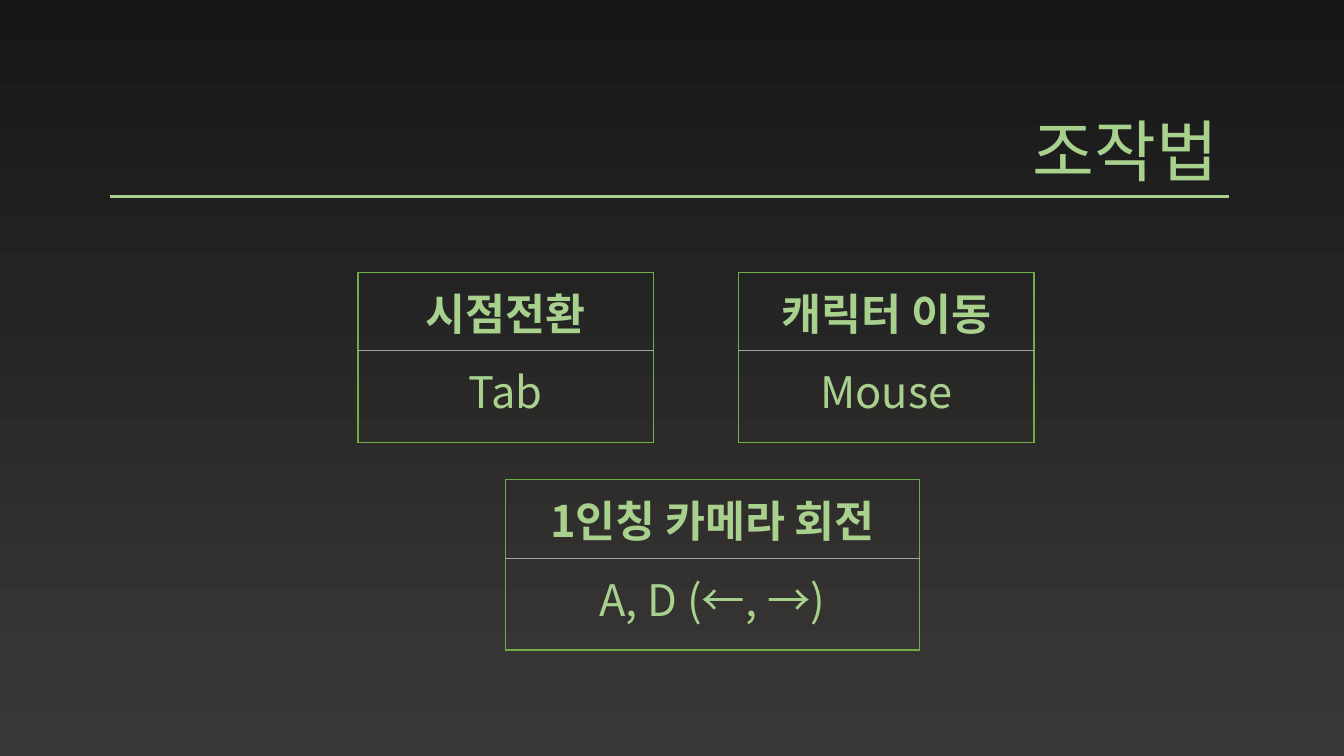
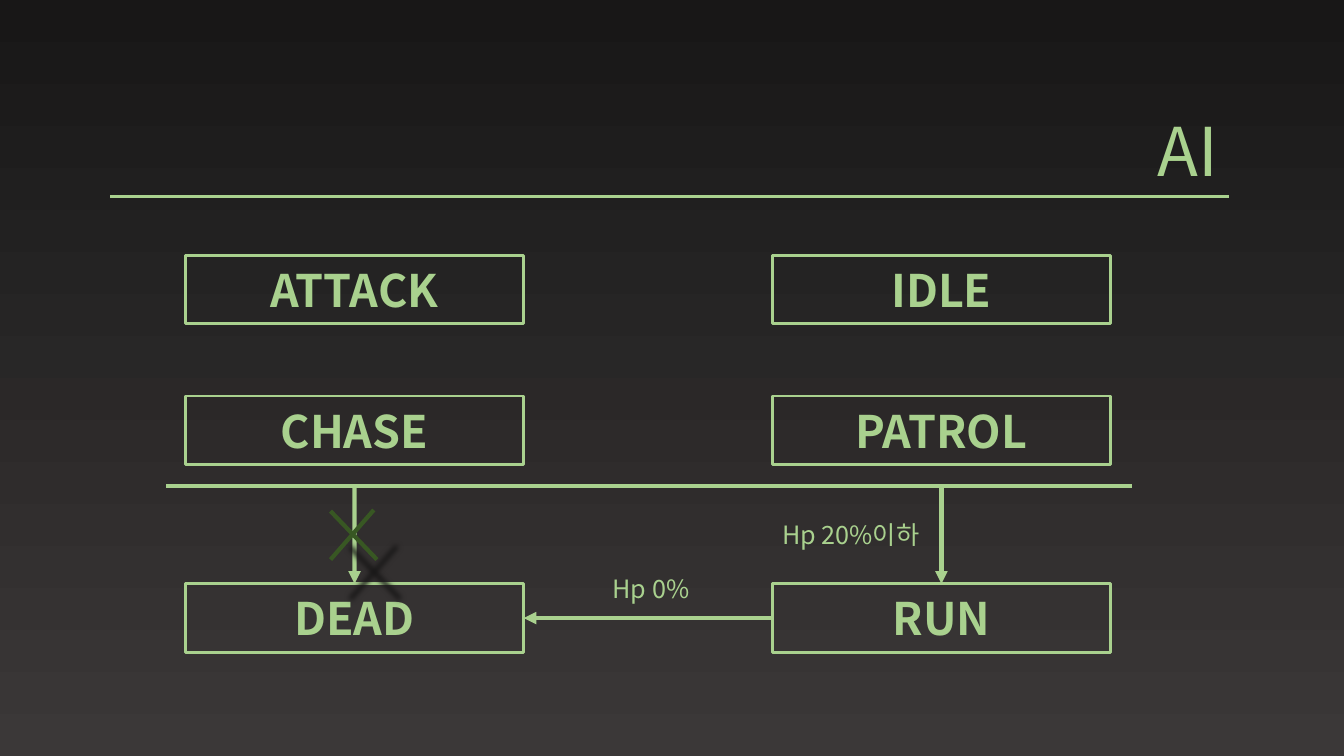
from lxml.etree import SubElement as Sub
from pptx import Presentation
from pptx.dml.color import RGBColor
from pptx.enum.shapes import MSO_CONNECTOR as Link, MSO_SHAPE as Kind
from pptx.enum.text import MSO_ANCHOR as Anchor, PP_ALIGN as Align
from pptx.oxml.ns import qn
from pptx.util import Cm, Pt

FACE = "Noto Sans CJK KR"
LIME = RGBColor(0xA9, 0xD1, 0x8E)
GREEN = RGBColor(0x70, 0xAD, 0x47)
MOSS = RGBColor(0x38, 0x57, 0x23)
GREY = RGBColor(0xA5, 0xA5, 0xA5)
BLACK = RGBColor(0x18, 0x17, 0x17)
STONE = RGBColor(0x3B, 0x38, 0x38)


def write(frame, text, size, bold=False, align=Align.LEFT):
    para = frame.paragraphs[0]
    para.alignment = align
    run = para.add_run()
    run.text = text
    form = {"name": FACE, "size": Pt(size), "bold": bold}
    for key, val in form.items():
        setattr(run.font, key, val)
    run.font.color.rgb = LIME
    Sub(run.font._element, qn("a:ea"), typeface=FACE)


def draw(slide, ends, color=LIME, width=3, arrow=False):
    line = slide.shapes.add_connector(Link.STRAIGHT, *map(Cm, ends))
    line.line.color.rgb = color
    line.line.width = Pt(width)
    if arrow:
        Sub(line.line._get_or_add_ln(), qn("a:tailEnd"), type="triangle")
    return line, Sub(line._element.spPr, qn("a:effectLst"))


prs = Presentation()
prs.slide_width, prs.slide_height = Cm(33.87), Cm(19.05)
back = prs.slide_master.background.fill
back.gradient()
back.gradient_angle = 270
for stop, color, place in zip(back.gradient_stops, (BLACK, STONE), (0, 1)):
    stop.color.rgb = color
    stop.position = place

pages = []
for name in ("조작법", "AI"):
    slide = prs.slides.add_slide(prs.slide_layouts[5])
    title = slide.shapes.title
    spot = {"left": 2.77, "top": 2.64, "width": 28.19, "height": 2.31}
    for key, val in spot.items():
        setattr(title, key, Cm(val))
    title.text_frame.vertical_anchor = Anchor.TOP
    write(title.text_frame, name, 48, align=Align.RIGHT)
    draw(slide, (30.96, 4.95, 2.77, 4.95), width=2.5)
    pages.append(slide)
keys, states = pages

ROWS = (1.73, 2.31)
INSET = {"margin_left": 0.43, "margin_right": 0.43, "margin_top": 0.2, "margin_bottom": 0.2}
cards = (
    (18.62, 6.86, 7.44, "캐릭터 이동", "Mouse"),
    (9.02, 6.86, 7.44, "시점전환", "Tab"),
    (12.73, 12.09, 10.44, "1인칭 카메라 회전", "A, D (←, →)"),
)
for left, top, wide, *words in cards:
    box = (left, top, wide, sum(ROWS))
    table = keys.shapes.add_table(2, 1, *map(Cm, box)).table
    table.horz_banding = False
    for row, (high, text) in enumerate(zip(ROWS, words)):
        table.rows[row].height = Cm(high)
        cell = table.cell(row, 0)
        for key, val in INSET.items():
            setattr(cell, key, Cm(val))
        write(cell.text_frame, text, 31, row == 0, Align.CENTER)
        props = cell._tc.get_or_add_tcPr()
        inner = "lnT" if row else "lnB"
        for side in ("lnL", "lnR", "lnT", "lnB"):
            edge = Sub(props, qn("a:" + side), w=str(Pt(1)))
            fill = Sub(edge, qn("a:solidFill"))
            Sub(fill, qn("a:srgbClr"), val=str(GREY if side == inner else GREEN))
        cell.fill.background()

WIDE, HIGH = 8.53, 1.73
COLS, TOPS = (4.67, 19.46), (6.43, 9.98, 14.71)
grid = (("ATTACK", "CHASE", "DEAD"), ("IDLE", "PATROL", "RUN"))
nodes = {}
for left, names in zip(COLS, grid):
    for top, name in zip(TOPS, names):
        node = states.shapes.add_shape(Kind.RECTANGLE, *map(Cm, (left, top, WIDE, HIGH)))
        node.shadow.inherit = False
        node.fill.background()
        node.line.color.rgb = LIME
        node.line.width = Pt(2)
        node.text_frame.vertical_anchor = Anchor.MIDDLE
        write(node.text_frame, name, 32, True, Align.CENTER)
        nodes[name] = node

mid = TOPS[2] + HIGH / 2
line, _ = draw(states, (COLS[1], mid, COLS[0] + WIDE, mid), arrow=True)
line.begin_connect(nodes["RUN"], 1)
line.end_connect(nodes["DEAD"], 3)
draw(states, (4.19, 12.24, 28.52, 12.24))
for left, name in zip(COLS, ("DEAD", "RUN")):
    mid = left + WIDE / 2
    line, _ = draw(states, (mid, 12.28, mid, TOPS[2]), arrow=True)
    line.end_connect(nodes[name], 0)

SHADE = {"blurRad": "50800", "dist": "50800", "dir": "5400000", "sx": "106000",
         "sy": "106000", "algn": "ctr", "rotWithShape": "0"}
for ends in ((8.33, 12.88, 9.5, 14.1), (9.42, 12.85, 8.33, 14.1)):
    _, effect = draw(states, ends, MOSS)
    shade = Sub(effect, qn("a:outerShdw"), SHADE)
    Sub(shade, qn("a:srgbClr"), val=str(BLACK))

for left, top, text in ((19.46, 12.95, "Hp 20%이하"), (15.19, 14.33, "Hp 0%")):
    label = states.shapes.add_textbox(*map(Cm, (left, top, 4.6, 1.02)))
    label.text_frame.word_wrap = True
    write(label.text_frame, text, 18)

prs.save("out.pptx")
